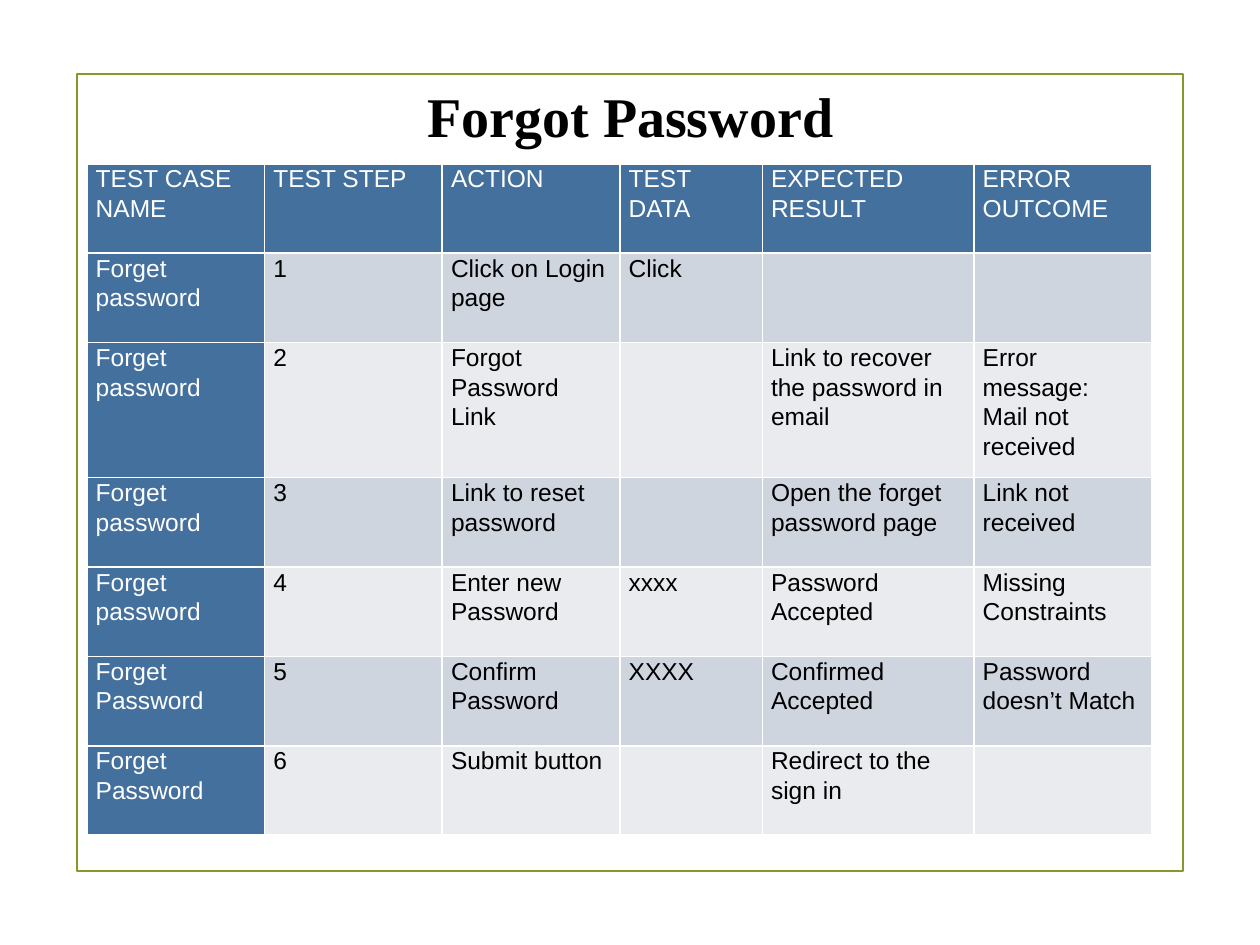
from lxml.etree import SubElement
from pptx import Presentation
from pptx.dml.color import RGBColor
from pptx.enum.shapes import MSO_SHAPE
from pptx.enum.text import PP_ALIGN
from pptx.oxml.ns import qn
from pptx.util import Inches, Pt

WIDE, HIGH = 10, 7.5
COLS = [1.41, 1.41, 1.41, 1.13, 1.68, 1.41]
ROWS = [0.71, 0.71, 1.07, 0.71, 0.71, 0.71, 0.71]
BLUE, WHITE, BLACK, GREEN = "44709D", "FFFFFF", "000000", "83992A"
BANDS = ["E9EBEF", "CFD5DF"]
HEAD = ["TEST CASE NAME", "TEST STEP", "ACTION", "TEST DATA",
        "EXPECTED RESULT", "ERROR OUTCOME"]
STEPS = [
    ["Forget password", "1", "Click on Login page", "Click", "", ""],
    ["Forget password", "2", "Forgot Password\nLink", "",
     "Link to recover the password in email",
     "Error message:\nMail not received"],
    ["Forget password", "3", "Link to reset password", "",
     "Open the forget password page", "Link not received"],
    ["Forget password", "4", "Enter new Password", "xxxx",
     "Password Accepted", "Missing Constraints"],
    ["Forget Password", "5", "Confirm Password", "XXXX",
     "Confirmed Accepted", "Password doesn’t Match"],
    ["Forget Password", "6", "Submit button", "",
     "Redirect to the sign in", ""],
]


def paint(target, color):
    target.solid()
    target.fore_color.rgb = RGBColor.from_string(color)


def style(para, name, size, color, bold=False):
    font = para.font
    font.name, font.size, font.bold = name, Pt(size), bold
    paint(font.fill, color)


def add_frame(slide):
    left, top = 0.61, 0.59
    box = slide.shapes.add_shape(
        MSO_SHAPE.RECTANGLE, Inches(left), Inches(top),
        Inches(WIDE - 2 * left), Inches(HIGH - 2 * top))
    box.shadow.inherit = False
    box.fill.background()
    paint(box.line.fill, GREEN)
    box.line.width = Pt(1.25)


def add_title(slide, text):
    box = slide.shapes.add_textbox(
        Inches(1.89), Inches(0.6), Inches(6.23), Inches(0.64))
    box.text_frame.word_wrap = True
    para = box.text_frame.paragraphs[0]
    para.text = text
    para.alignment = PP_ALIGN.CENTER
    style(para, "Times New Roman", 32, BLACK, True)


def add_edges(cell):
    props = cell._tc.get_or_add_tcPr()
    for side in ("lnL", "lnR", "lnT", "lnB"):
        line = SubElement(props, qn(f"a:{side}"), w=str(Pt(1)))
        fill = SubElement(line, qn("a:solidFill"))
        SubElement(fill, qn("a:srgbClr"), val=WHITE)


def fill_cell(cell, text, back, ink):
    cell.margin_left = cell.margin_right = Inches(0.07)
    cell.margin_top = cell.margin_bottom = 0
    add_edges(cell)
    paint(cell.fill, back)
    cell.text = text
    for para in cell.text_frame.paragraphs:
        para.line_spacing = 1.07
        style(para, "Arial", 14, ink)


def add_grid(slide, data):
    grid = slide.shapes.add_table(
        len(ROWS), len(COLS), Inches(0.69), Inches(1.3),
        Inches(sum(COLS)), Inches(sum(ROWS))).table
    grid.first_row = grid.horz_banding = False
    for col, width in zip(grid.columns, COLS):
        col.width = Inches(width)
    for row, height in zip(grid.rows, ROWS):
        row.height = Inches(height)
    for r, texts in enumerate(data):
        for c, text in enumerate(texts):
            lead = r == 0 or c == 0
            fill_cell(grid.cell(r, c), text,
                      BLUE if lead else BANDS[r % 2],
                      WHITE if lead else BLACK)


def main():
    deck = Presentation()
    deck.slide_width, deck.slide_height = Inches(WIDE), Inches(HIGH)
    slide = deck.slides.add_slide(deck.slide_layouts[6])
    add_frame(slide)
    add_grid(slide, [HEAD, *STEPS])
    add_title(slide, "Forgot Password")
    deck.save("out.pptx")


if __name__ == "__main__":
    main()
